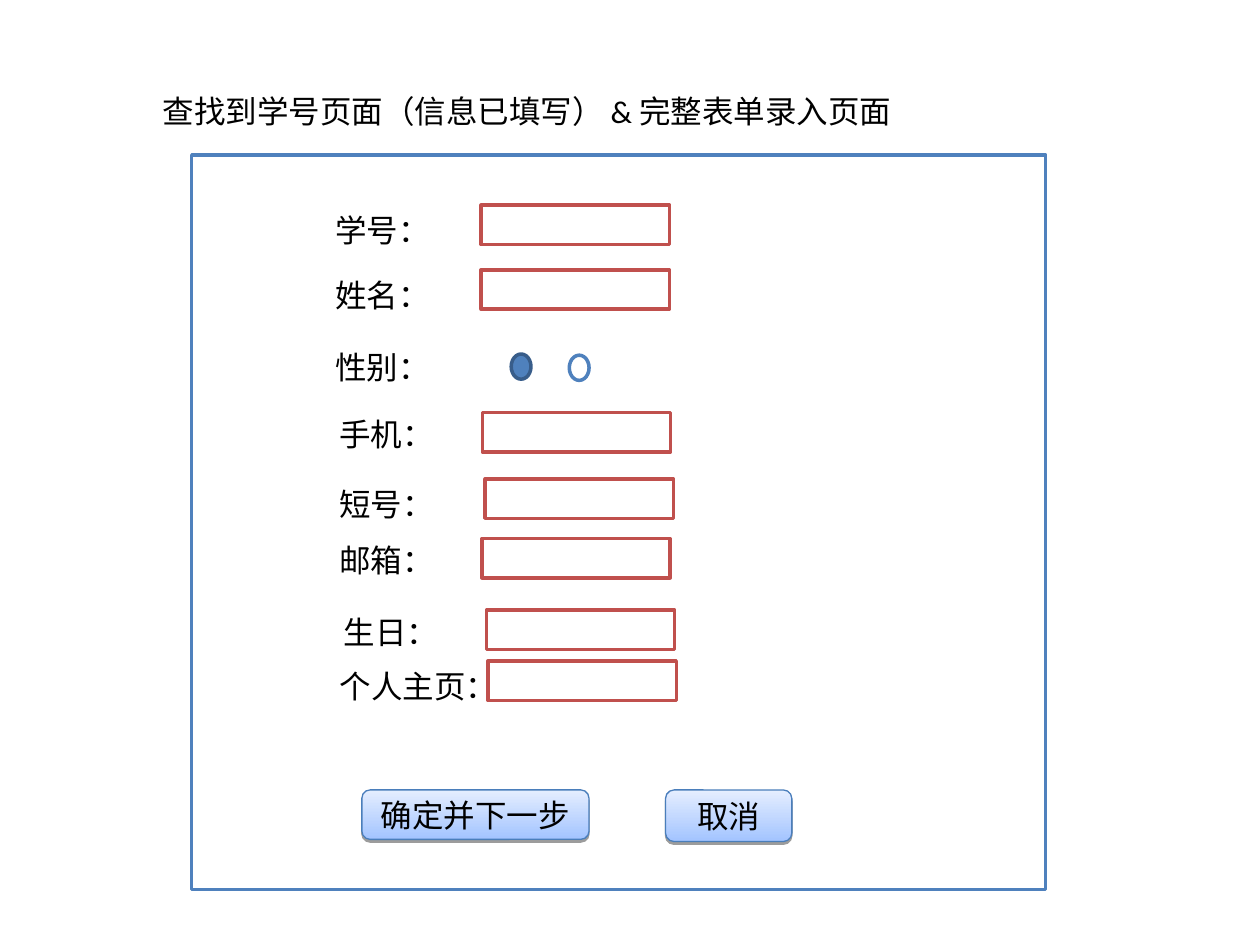
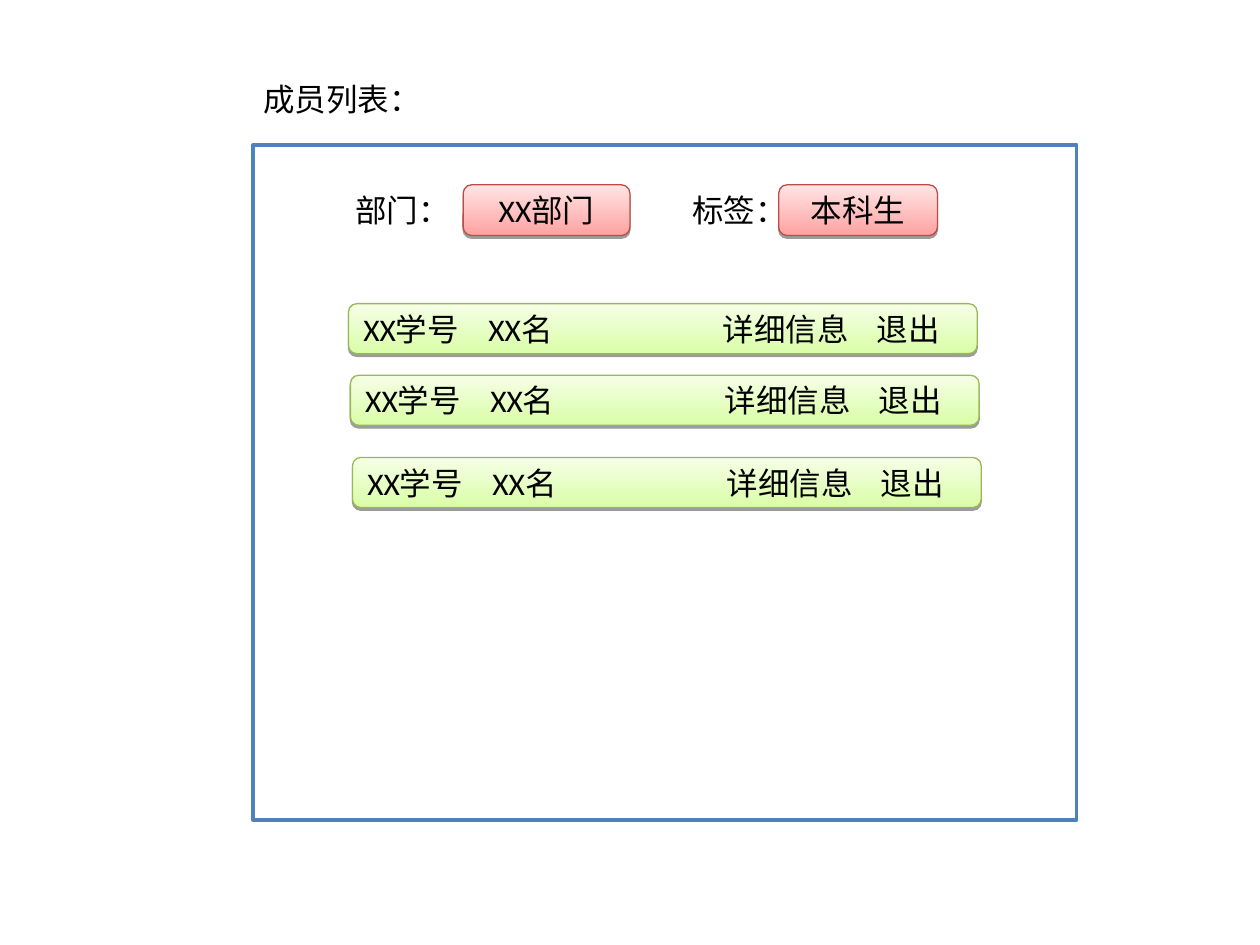
from pptx import Presentation
from pptx.dml.color import RGBColor
from pptx.enum.shapes import MSO_SHAPE
from pptx.enum.text import MSO_ANCHOR, MSO_AUTO_SIZE, PP_ALIGN
from pptx.oxml.ns import qn
from pptx.util import Pt
from lxml import etree

RECT = MSO_SHAPE.RECTANGLE
ROUNDED = MSO_SHAPE.ROUNDED_RECTANGLE
OVAL = MSO_SHAPE.OVAL
TOP, MIDDLE = MSO_ANCHOR.TOP, MSO_ANCHOR.MIDDLE
GROW = MSO_AUTO_SIZE.SHAPE_TO_FIT_TEXT
LEFT, CENTER = PP_ALIGN.LEFT, PP_ALIGN.CENTER

BLACK = RGBColor(0x00, 0x00, 0x00)
WHITE = RGBColor(0xFF, 0xFF, 0xFF)
BLUE = RGBColor(0x4F, 0x81, 0xBD)
DARK_BLUE = RGBColor(0x38, 0x5D, 0x8A)
RED = RGBColor(0xC0, 0x50, 0x4D)
BLUE_BUTTON = (RGBColor(0xA3, 0xC4, 0xFF), RGBColor(0xE5, 0xEE, 0xFF), RGBColor(0x4A, 0x7E, 0xBB))
RED_BUTTON = (RGBColor(0xFF, 0xA2, 0xA1), RGBColor(0xFF, 0xE5, 0xE5), RGBColor(0xBE, 0x4B, 0x48))
GREEN_BUTTON = (RGBColor(0xDA, 0xFD, 0xA7), RGBColor(0xF5, 0xFF, 0xE6), RGBColor(0x98, 0xB9, 0x54))

FONT = {"name": "Calibri", "size": Pt(18), "bold": False}
LABEL_FRAME = {"word_wrap": False, "auto_size": GROW, "vertical_anchor": TOP}
BUTTON_FRAME = {"word_wrap": True, "vertical_anchor": MIDDLE}
TEXT_H = 29.08
FIELD_W, FIELD_H = 107.6, 22.5
ROW_W, ROW_H = 359.3, 28.6
ROW_TABS = (71.5, 205.4, 293.4)

FIELDS = [
    ("学号：", 184.5, 117, 275, 117.2),
    ("姓名：", 184.5, 154, 275, 154.2),
    ("手机：", 186.7, 233.4, 275.6, 235.8),
    ("短号：", 186.7, 273.6, 277.3, 273.7),
    ("邮箱：", 186.7, 305.4, 275.4, 307.7),
    ("生日：", 189.2, 346.6, 278, 348.7),
    ("个人主页：", 187, 377.9, 278.9, 377.8),
]
MEMBER_ROWS = [(199.1, 173.5), (200.2, 214.4), (201.4, 261.4)]
MEMBER_TEXT = "XX学号\tXX名\t详细信息\t退出"


def apply(target, values):
    for name, value in values.items():
        setattr(target, name, value)


def write(tf, text, frame, align):
    apply(tf, frame)
    p = tf.paragraphs[0]
    p.alignment = align
    r = p.add_run()
    r.text = text
    apply(r.font, FONT)
    r.font.color.rgb = BLACK
    return p


def add_title_slide(prs, text, x, y, w):
    slide = prs.slides.add_slide(prs.slide_layouts[5])
    title = slide.shapes.title
    apply(title, {"left": Pt(x), "top": Pt(y), "width": Pt(w), "height": Pt(TEXT_H)})
    write(title.text_frame, text, LABEL_FRAME, LEFT)
    return slide


def add_label(slide, text, x, y):
    w = FONT["size"].pt * len(text) + 14.4
    sp = slide.shapes.add_textbox(Pt(x), Pt(y), Pt(w), Pt(TEXT_H))
    write(sp.text_frame, text, LABEL_FRAME, LEFT)


def add_outline(slide, kind, x, y, w, h, line, fill=WHITE):
    sp = slide.shapes.add_shape(kind, Pt(x), Pt(y), Pt(w), Pt(h))
    sp.shadow.inherit = False
    sp.fill.solid()
    sp.fill.fore_color.rgb = fill
    sp.line.color.rgb = line
    sp.line.width = Pt(2)


def add_drop_shadow(sp):
    sp.shadow.inherit = False
    effects = sp._element.spPr.find(qn("a:effectLst"))
    shadow = etree.SubElement(effects, qn("a:outerShdw"), blurRad="0",
                              dist=str(Pt(1.6)), dir="5400000", rotWithShape="0")
    color = etree.SubElement(shadow, qn("a:srgbClr"), val=str(BLACK))
    etree.SubElement(color, qn("a:alpha"), val="38000")


def add_button(slide, text, x, y, w, h, palette, align=CENTER):
    bottom, top, line = palette
    sp = slide.shapes.add_shape(ROUNDED, Pt(x), Pt(y), Pt(w), Pt(h))
    sp.fill.gradient()
    sp.fill.gradient_angle = 90
    for stop, color in zip(sp.fill.gradient_stops, (bottom, top)):
        stop.color.rgb = color
    sp.line.color.rgb = line
    sp.line.width = Pt(0.75)
    add_drop_shadow(sp)
    return write(sp.text_frame, text, BUTTON_FRAME, align)


def add_member_row(slide, x, y):
    p = add_button(slide, MEMBER_TEXT, x, y, ROW_W, ROW_H, GREEN_BUTTON, LEFT)
    tabs = etree.SubElement(p._p.get_or_add_pPr(), qn("a:tabLst"))
    for pos in ROW_TABS:
        etree.SubElement(tabs, qn("a:tab"), pos=str(Pt(pos)), algn="l")


def build_form(prs):
    slide = add_title_slide(prs, "查找到学号页面（信息已填写） & 完整表单录入页面", 85.7, 48.8, 460)
    add_outline(slide, RECT, 109.6, 88.6, 488, 419.6, BLUE)
    for text, label_x, label_y, field_x, field_y in FIELDS:
        add_label(slide, text, label_x, label_y)
        add_outline(slide, RECT, field_x, field_y, FIELD_W, FIELD_H, RED)
    add_label(slide, "性别：", 184.5, 195.1)
    add_outline(slide, OVAL, 292.1, 202.3, 11.3, 14.4, DARK_BLUE, BLUE)
    add_outline(slide, OVAL, 325.3, 203, 11.3, 14.4, BLUE)
    add_button(slide, "确定并下一步", 206.8, 451.4, 129.8, 28.3, BLUE_BUTTON)
    add_button(slide, "取消", 380.3, 451.4, 72.2, 29.5, BLUE_BUTTON)


def build_member_list(prs):
    slide = add_title_slide(prs, "成员列表：", 143.3, 42.3, 104.4)
    add_outline(slide, RECT, 144.7, 82.8, 470.6, 385.8, BLUE)
    add_label(slide, "部门：", 196, 105.6)
    add_button(slide, "XX部门", 264.7, 105.6, 95.3, 29, RED_BUTTON)
    add_label(slide, "标签：", 388.5, 105.6)
    add_button(slide, "本科生", 445, 105.6, 90.7, 29, RED_BUTTON)
    for x, y in MEMBER_ROWS:
        add_member_row(slide, x, y)


def main():
    prs = Presentation()
    prs.slide_width, prs.slide_height = Pt(720), Pt(540)
    build_form(prs)
    build_member_list(prs)
    prs.save("out.pptx")


if __name__ == "__main__":
    main()
